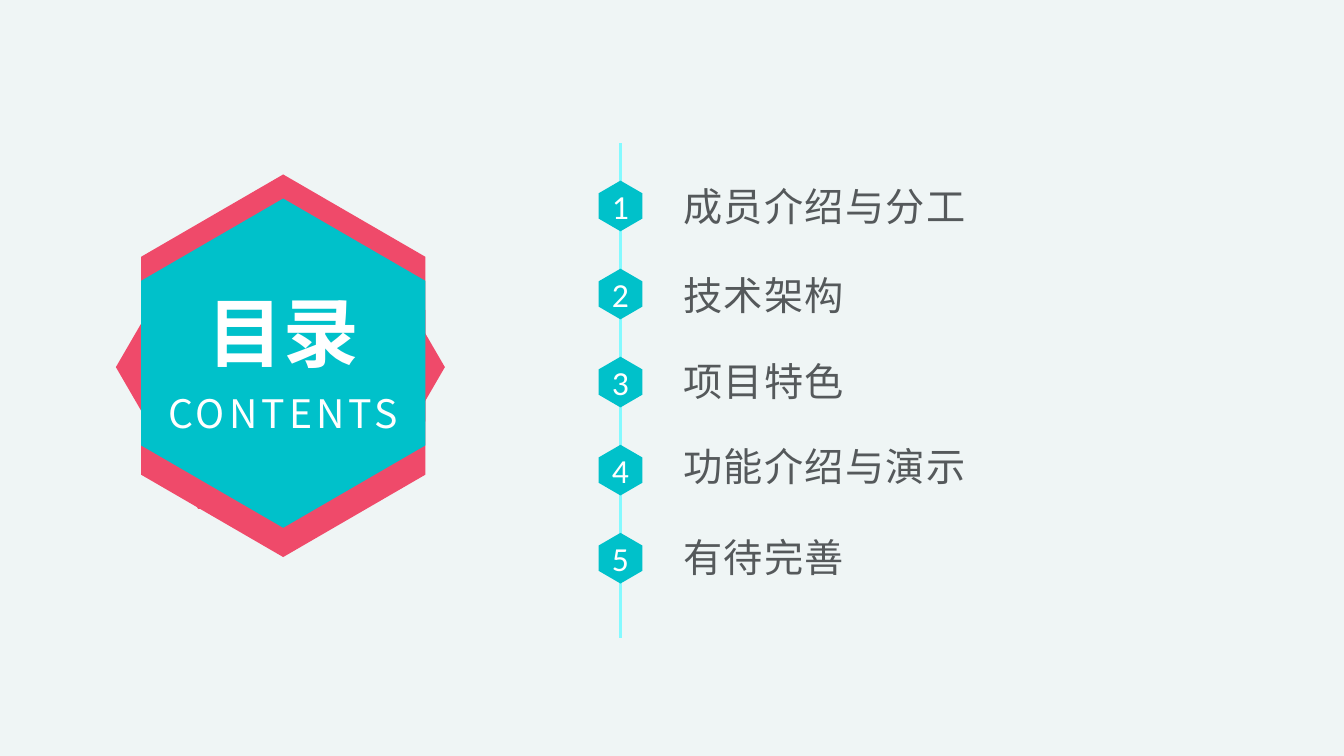
from dataclasses import dataclass

from lxml.etree import SubElement
from pptx import Presentation
from pptx.dml.color import RGBColor
from pptx.enum.shapes import MSO_CONNECTOR as Connector
from pptx.enum.text import MSO_ANCHOR as Anchor, PP_ALIGN as Align
from pptx.oxml.ns import qn
from pptx.shapes.autoshape import Shape
from pptx.slide import Slide
from pptx.util import Pt

COLORS = {
    "background": "EFF5F5",
    "pink": "EF4A6A",
    "teal": "00C1CA",
    "timeline": "84FAFF",
    "label": "55595B",
    "white": "FFFFFF",
}
CHINESE_FONT = "Noto Sans CJK SC"
NUMBER_FONT = "Calibri"
HEXAGON = [(0.5, 0), (1, 0.25), (1, 0.75), (0.5, 1), (0, 0.75), (0, 0.25)]


@dataclass(frozen=True)
class Box:
    left: float
    top: float
    width: float
    height: float


@dataclass(frozen=True)
class TextStyle:
    size: float
    color: str
    font: str = CHINESE_FONT
    bold: bool = False
    spacing: float = 0
    align: Align = Align.CENTER


@dataclass(frozen=True)
class Chapter:
    title: str
    top: float


BADGE_STYLE = TextStyle(54, "white", bold=True)
CONTENTS_STYLE = TextStyle(28, "white", spacing=3)
NUMBER_STYLE = TextStyle(24, "white", font=NUMBER_FONT)
CHAPTER_STYLE = TextStyle(28, "label", spacing=1, align=Align.LEFT)

CHAPTERS = [
    Chapter("成员介绍与分工", 126),
    Chapter("技术架构", 189.4),
    Chapter("项目特色", 251),
    Chapter("功能介绍与演示", 311.8),
    Chapter("有待完善", 376.6),
]
BADGE_LEFT = 100.8
BADGE_WIDTH = 203
FIRST_NUMBER_TOP = 129
NUMBER_PITCH = 62.9


def rgb(name: str) -> RGBColor:
    return RGBColor.from_string(COLORS[name])


def write(shape: Shape, text: str, style: TextStyle) -> None:
    frame = shape.text_frame
    frame.vertical_anchor = Anchor.MIDDLE
    paragraph = frame.paragraphs[0]
    paragraph.alignment = style.align
    paragraph.font.size = Pt(style.size)
    paragraph.font.name = style.font
    paragraph.font.bold = style.bold
    paragraph.font.color.rgb = rgb(style.color)
    run = paragraph.add_run()
    run.text = text
    properties = run._r.get_or_add_rPr()
    properties.set("spc", str(round(style.spacing * 100)))
    SubElement(properties, qn("a:ea")).set("typeface", style.font)


def add_hexagon(slide: Slide, box: Box, color: str, sideways: bool = False) -> Shape:
    corners = [(y, x) if sideways else (x, y) for x, y in HEXAGON]
    points = [
        (Pt(box.left + x * box.width), Pt(box.top + y * box.height))
        for x, y in corners
    ]
    builder = slide.shapes.build_freeform(*points[0])
    builder.add_line_segments(points[1:], close=True)
    shape = builder.convert_to_shape()
    shape.shadow.inherit = False
    shape.fill.solid()
    shape.fill.fore_color.rgb = rgb(color)
    shape.line.fill.background()
    return shape


def add_text(slide: Slide, box: Box, text: str, style: TextStyle) -> Shape:
    shape = slide.shapes.add_textbox(
        Pt(box.left), Pt(box.top), Pt(box.width), Pt(box.height)
    )
    shape.text_frame.word_wrap = True
    write(shape, text, style)
    return shape


def add_badge(slide: Slide) -> None:
    add_hexagon(slide, Box(82.8, 161, 235, 202.5), "pink", sideways=True)
    for top, color in [(124.6, "pink"), (162.7, "pink"), (141.8, "teal")]:
        add_hexagon(slide, Box(BADGE_LEFT, top, BADGE_WIDTH, 235.2), color)
    for top, text, style in [
        (205.5, "目录", BADGE_STYLE),
        (263.5, "CONTENTS", CONTENTS_STYLE),
    ]:
        add_text(slide, Box(BADGE_LEFT, top, BADGE_WIDTH, 62), text, style)


def add_timeline(slide: Slide) -> None:
    timeline = slide.shapes.add_connector(
        Connector.STRAIGHT, Pt(443.2), Pt(102.2), Pt(443.2), Pt(455.8)
    )
    timeline.line.color.rgb = rgb("timeline")
    timeline.line.width = Pt(2)
    SubElement(timeline._element.spPr, qn("a:effectLst"))


def add_chapter(slide: Slide, index: int, chapter: Chapter) -> None:
    label_box = Box(474.5, chapter.top, 366.5, 42.5)
    label = add_text(slide, label_box, chapter.title, CHAPTER_STYLE)
    label.text_frame.margin_left = Pt(13.6)
    number_box = Box(427.6, FIRST_NUMBER_TOP + index * NUMBER_PITCH, 31.2, 36.2)
    number = add_hexagon(slide, number_box, "teal")
    write(number, str(index + 1), NUMBER_STYLE)


presentation = Presentation()
presentation.slide_width = Pt(960)
presentation.slide_height = Pt(540)
slide = presentation.slides.add_slide(presentation.slide_layouts[6])
slide.background.fill.solid()
slide.background.fill.fore_color.rgb = rgb("background")
add_badge(slide)
add_timeline(slide)
for index, chapter in enumerate(CHAPTERS):
    add_chapter(slide, index, chapter)
presentation.save("out.pptx")
